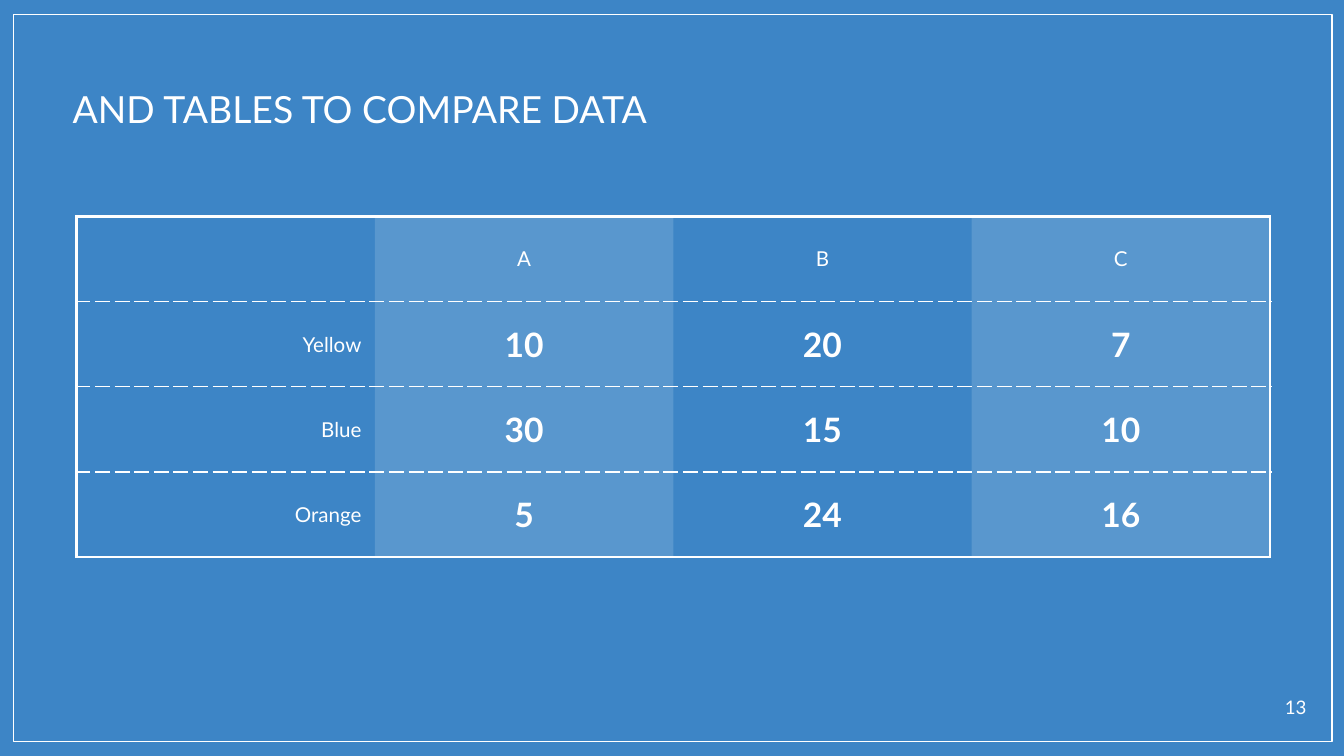
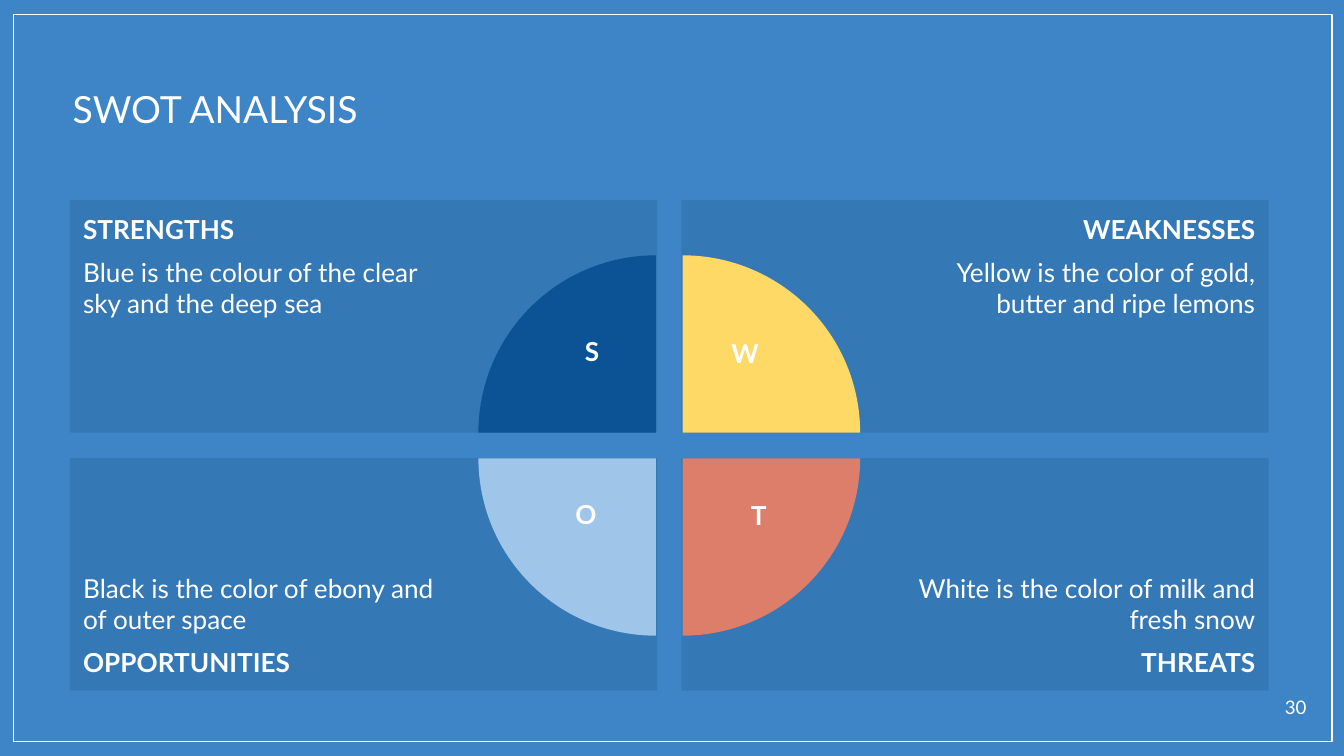
from dataclasses import dataclass

from lxml.etree import SubElement
from pptx import Presentation
from pptx.dml.color import RGBColor
from pptx.enum.shapes import MSO_SHAPE
from pptx.enum.text import MSO_ANCHOR, MSO_AUTO_SIZE, PP_ALIGN
from pptx.oxml.ns import qn
from pptx.util import Inches, Pt

BLUE = RGBColor(0x3D, 0x85, 0xC6)
WHITE = RGBColor(0xFF, 0xFF, 0xFF)
NAVY = RGBColor(0x07, 0x37, 0x63)
DEEP_BLUE = RGBColor(0x0B, 0x53, 0x94)
YELLOW = RGBColor(0xFF, 0xD9, 0x66)
CORAL = RGBColor(0xDD, 0x7E, 0x6B)
PALE_BLUE = RGBColor(0x9F, 0xC5, 0xE8)

FONT = "Lato"
COLUMNS, ROWS = 100, 56.25
LEFT, CENTER, RIGHT = PP_ALIGN.LEFT, PP_ALIGN.CENTER, PP_ALIGN.RIGHT
SOLID, DASHED = (1.5, "solid"), (0.75, "dash")


@dataclass
class Quadrant:
    letter: str
    heading: str
    body: str
    column: int
    row: int
    colour: RGBColor
    rotation: int
    letter_area: tuple


QUADRANTS = [
    Quadrant("S", "STRENGTHS", "Blue is the colour of the clear sky and the deep sea",
             0, 0, DEEP_BLUE, 0, (42.2, 24.5, 3.7, 4.6)),
    Quadrant("W", "WEAKNESSES", "Yellow is the color of gold, butter and ripe lemons",
             1, 0, YELLOW, 90, (53.4, 24.6, 4.1, 4.5)),
    Quadrant("O", "OPPORTUNITIES", "Black is the color of ebony and of outer space",
             0, 1, PALE_BLUE, 270, (41.8, 36.6, 3.6, 4.6)),
    Quadrant("T", "THREATS", "White is the color of milk and fresh snow",
             1, 1, CORAL, 180, (54.6, 36.7, 3.7, 4.5)),
]

COMPARISON = [
    ["", "A", "B", "C"],
    ["Yellow", "10", "20", "7"],
    ["Blue", "30", "15", "10"],
    ["Orange", "5", "24", "16"],
]


class Deck:
    def __init__(self):
        self.deck = Presentation()
        self.deck.slide_width, self.deck.slide_height = Inches(10), Inches(5.625)
        background = self.deck.slide_master.background.fill
        background.solid()
        background.fore_color.rgb = BLUE
        self.page = None

    def place(self, left, top, width, height):
        column = self.deck.slide_width / COLUMNS
        row = self.deck.slide_height / ROWS
        return [round(length) for length in
                (left * column, top * row, width * column, height * row)]

    def add_page(self, title, number):
        self.page = self.deck.slides.add_slide(self.deck.slide_layouts[5])
        frame = self.shape(MSO_SHAPE.RECTANGLE, (1, 1.1, 98.1, 54.1))
        frame.line.color.rgb = WHITE
        frame.line.width = Pt(0.75)
        heading = self.page.shapes.title
        heading.left, heading.top, heading.width, heading.height = self.place(4.4, 5.4, 90, 4.5)
        self.format_box(heading)
        self.add_text(heading.text_frame.paragraphs[0], title, 20)
        self.label(number, (93.2, 50.8, 5, 3.2), 10, RIGHT, margins=(1, 1, 1, 1))

    def format_box(self, shape, margins=(1, 1, 1, 1), anchor=MSO_ANCHOR.TOP, wrap=True):
        box = shape.text_frame
        box.auto_size = MSO_AUTO_SIZE.NONE
        box.word_wrap = wrap
        box.vertical_anchor = anchor
        box.margin_left, box.margin_top, box.margin_right, box.margin_bottom = self.place(*margins)
        return box

    def add_text(self, para, text, size, align=LEFT, bold=False):
        para.alignment = align
        span = para.add_run()
        span.text = text
        span.font.name = FONT
        span.font.size = Pt(size)
        span.font.bold = bold
        span.font.color.rgb = WHITE

    def label(self, text, area, size, align, bold=False, margins=(1, 0.5, 1, 0.5)):
        shape = self.page.shapes.add_textbox(*self.place(*area))
        box = self.format_box(shape, margins, wrap=False)
        self.add_text(box.paragraphs[0], text, size, align, bold)

    def paint(self, fill, holder, colour, opacity):
        fill.solid()
        fill.fore_color.rgb = colour
        if opacity < 100:
            tint = holder.find(qn("a:solidFill"))[0]
            SubElement(tint, qn("a:alpha"), val=str(opacity * 1000))

    def shape(self, kind, area, colour=None, opacity=100):
        shape = self.page.shapes.add_shape(kind, *self.place(*area))
        shape.shadow.inherit = False
        shape.line.fill.background()
        if colour is None:
            shape.fill.background()
        else:
            self.paint(shape.fill, shape._element.spPr, colour, opacity)
        return shape

    def panel(self, quadrant):
        at_right, at_bottom = quadrant.column == 1, quadrant.row == 1
        area = (5.2 + 45.5 * quadrant.column, 14.9 + 19.2 * quadrant.row, 43.7, 17.3)
        shape = self.shape(MSO_SHAPE.RECTANGLE, area, NAVY, 16)
        margins = (15, 1, 1, 1) if at_right else (1, 1, 15, 1)
        box = self.format_box(shape, margins, MSO_ANCHOR.BOTTOM if at_bottom else MSO_ANCHOR.TOP)
        lines = [(quadrant.heading, True), (quadrant.body, False)]
        if at_bottom:
            lines.reverse()
        paras = [box.paragraphs[0], box.add_paragraph()]
        for para, (text, bold) in zip(paras, lines):
            self.add_text(para, text, 14, RIGHT if at_right else LEFT, bold)
        paras[1].space_before = paras[1].space_after = Pt(6)

    def quarter(self, quadrant):
        area = (35.6 + 2 * quadrant.column, 19 + 1.9 * quadrant.row, 26.4, 26.4)
        shape = self.shape(MSO_SHAPE.PIE, area, quadrant.colour)
        shape.adjustments[0], shape.adjustments[1] = 108, 162
        shape.rotation = quadrant.rotation

    def border(self, cell, side, style):
        line = SubElement(cell._tc.get_or_add_tcPr(), qn(f"a:ln{side}"))
        if style is None:
            line.set("w", "0")
            SubElement(line, qn("a:noFill"))
            return
        width, dash = style
        line.set("w", str(Pt(width)))
        fill = SubElement(line, qn("a:solidFill"))
        SubElement(fill, qn("a:srgbClr"), val=str(WHITE))
        SubElement(line, qn("a:prstDash"), val=dash)

    def table(self, rows, area):
        last_row, last_column = len(rows) - 1, len(rows[0]) - 1
        table = self.page.shapes.add_table(len(rows), len(rows[0]), *self.place(*area)).table
        table.first_row = table.horz_banding = False
        for r, row in enumerate(rows):
            for c, text in enumerate(row):
                cell = table.cell(r, c)
                cell.vertical_anchor = MSO_ANCHOR.MIDDLE
                cell.margin_left, cell.margin_top, cell.margin_right, cell.margin_bottom = \
                    self.place(1, 0.7, 1, 0.7)
                self.border(cell, "L", SOLID if c == 0 else None)
                self.border(cell, "R", SOLID if c == last_column else None)
                self.border(cell, "T", SOLID if r == 0 else DASHED)
                self.border(cell, "B", SOLID if r == last_row else DASHED)
                if c % 2:
                    self.paint(cell.fill, cell._tc.tcPr, WHITE, 15)
                else:
                    cell.fill.background()
                if text:
                    is_value = r > 0 and c > 0
                    self.add_text(cell.text_frame.paragraphs[0], text, 18 if is_value else 11,
                                  CENTER if c else RIGHT, is_value)


def main():
    slides = Deck()

    slides.add_page("AND TABLES TO COMPARE DATA", "13")
    slides.table(COMPARISON, (5.7, 16.1, 88.8, 25.36))

    slides.add_page("SWOT ANALYSIS", "30")
    for quadrant in QUADRANTS:
        slides.panel(quadrant)
    for quadrant in QUADRANTS:
        slides.quarter(quadrant)
    for quadrant in QUADRANTS:
        slides.label(quadrant.letter, quadrant.letter_area, 14, CENTER, bold=True)

    slides.deck.save("out.pptx")


if __name__ == "__main__":
    main()
